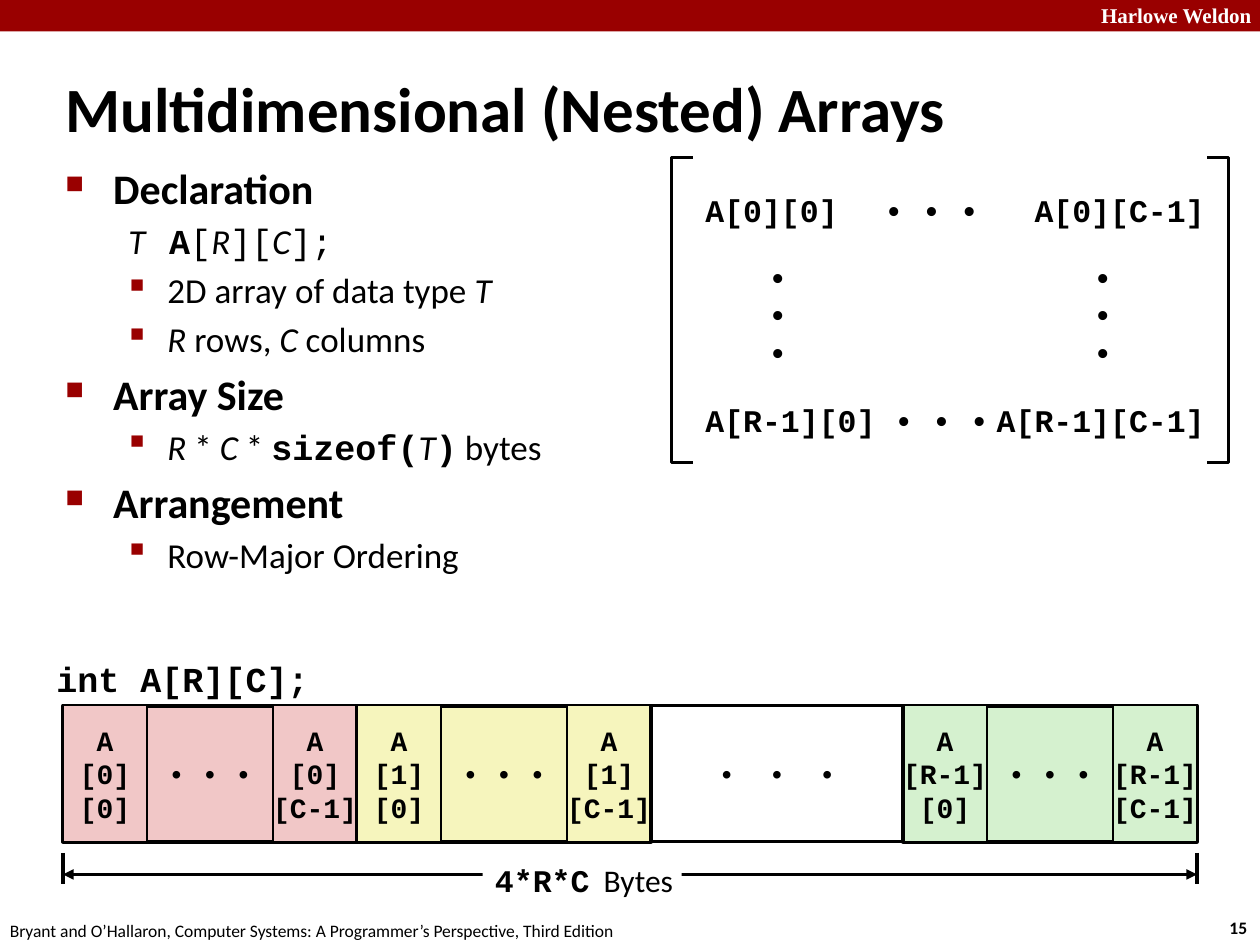
from lxml import etree
from pptx import Presentation
from pptx.dml.color import RGBColor
from pptx.enum.shapes import MSO_CONNECTOR, MSO_SHAPE
from pptx.enum.text import MSO_ANCHOR, MSO_AUTO_SIZE, PP_ALIGN
from pptx.oxml.ns import qn
from pptx.util import Inches, Pt

LEFT, CENTER, RIGHT = PP_ALIGN.LEFT, PP_ALIGN.CENTER, PP_ALIGN.RIGHT
MIDDLE, TOP = MSO_ANCHOR.MIDDLE, MSO_ANCHOR.TOP
RECTANGLE, STRAIGHT = MSO_SHAPE.RECTANGLE, MSO_CONNECTOR.STRAIGHT
FIT_SHAPE, NO_FIT = MSO_AUTO_SIZE.SHAPE_TO_FIT_TEXT, MSO_AUTO_SIZE.NONE

BLACK = RGBColor(0x00, 0x00, 0x00)
WHITE = RGBColor(0xFF, 0xFF, 0xFF)
DARK_RED = RGBColor(0x99, 0x00, 0x00)
PINK = RGBColor(0xF1, 0xC7, 0xC7)
YELLOW = RGBColor(0xF6, 0xF5, 0xBD)
GREEN = RGBColor(0xD5, 0xF1, 0xCF)

SANS, MONO, SERIF = "Calibri", "Courier New", "Times New Roman"
BULLET_FONT = "Wingdings"
DOTS = "• • •"
WIDE_DOTS = "•  •  •"

# A run is (text, font, style); style holds "b" for bold and "i" for italic.
HEADING, ITEM, CODE_ITEM = "heading", "item", "code item"
OUTLINE = [
    (HEADING, [("Declaration", SANS, "b")]),
    (CODE_ITEM, [("T   ", SANS, "i"), ("A", MONO, "b"), ("[", MONO, ""),
                 ("R", SANS, "i"), ("][", MONO, ""), ("C", SANS, "i"), ("];", MONO, "")]),
    (ITEM, [("2D array of data type ", SANS, ""), ("T", SANS, "i")]),
    (ITEM, [("R", SANS, "i"), (" rows, ", SANS, ""), ("C", SANS, "i"), (" columns", SANS, "")]),
    (HEADING, [("Array Size", SANS, "b")]),
    (ITEM, [("R", SANS, "i"), (" * ", SANS, ""), ("C ", SANS, "i"), ("* ", SANS, ""),
            ("sizeof(", MONO, "b"), ("T", SANS, "i"), (")", MONO, "b"), (" bytes", SANS, "")]),
    (HEADING, [("Arrangement", SANS, "b")]),
    (ITEM, [("Row-Major Ordering", SANS, "")]),
]
# kind: (size, left margin, hanging indent, bullet, bullet size in percent)
# In the bullet font, "n" is a large square and "§" a small one.
OUTLINE_STYLES = {
    HEADING: (24, 0.38, 0.38, "n", 60),
    ITEM: (20, 0.81, 0.31, "§", 110),
    CODE_ITEM: (20, 0.81, 0.31, None, None),
}


class SlideBuilder:
    def __init__(self, slide):
        self.slide = slide
        self.shapes = slide.shapes

    def add_runs(self, paragraph, runs, size, color=BLACK):
        for text, font, style in runs:
            run = paragraph.add_run()
            run.text = text
            run.font.name = font
            run.font.size = Pt(size)
            run.font.bold = "b" in style
            run.font.italic = "i" in style
            run.font.color.rgb = color

    def fill_frame(self, shape, lines, size, color=BLACK, align=LEFT, anchor=TOP, wrap=False):
        """Write one paragraph for each list of runs in lines."""
        frame = shape.text_frame
        frame.word_wrap = wrap
        frame.vertical_anchor = anchor
        for index, runs in enumerate(lines):
            paragraph = frame.add_paragraph() if index else frame.paragraphs[0]
            paragraph.alignment = align
            self.add_runs(paragraph, runs, size, color)

    def title(self, text, left, top, width, height):
        title = self.shapes.title
        title.left, title.top = Inches(left), Inches(top)
        title.width, title.height = Inches(width), Inches(height)
        title.text_frame.auto_size = NO_FIT
        self.fill_frame(title, [[(text, SANS, "b")]], 36, anchor=MIDDLE, wrap=True)

    def label(self, run, left, top, width, height, size, color=BLACK, align=LEFT, wrap=False):
        box = self.shapes.add_textbox(Inches(left), Inches(top), Inches(width), Inches(height))
        self.fill_frame(box, [[run]], size, color, align, wrap=wrap)
        box.text_frame.auto_size = FIT_SHAPE

    def rectangle(self, left, top, width, height, fill, lines=(), size=18,
                  align=LEFT, line_width=None):
        shape = self.shapes.add_shape(
            RECTANGLE, Inches(left), Inches(top), Inches(width), Inches(height))
        shape.shadow.inherit = False
        shape.fill.solid()
        shape.fill.fore_color.rgb = fill
        if line_width:
            shape.line.color.rgb = BLACK
            shape.line.width = Pt(line_width)
        else:
            shape.line.fill.background()
        self.fill_frame(shape, lines, size, align=align, anchor=MIDDLE)

    def outline(self, items, left, top, width, height):
        box = self.shapes.add_textbox(Inches(left), Inches(top), Inches(width), Inches(height))
        frame = box.text_frame
        frame.word_wrap = True
        for index, (kind, runs) in enumerate(items):
            size, margin, hanging, bullet, percent = OUTLINE_STYLES[kind]
            paragraph = frame.add_paragraph() if index else frame.paragraphs[0]
            paragraph.space_before = Pt(size * 0.2)
            self.add_runs(paragraph, runs, size)
            properties = paragraph._p.get_or_add_pPr()
            properties.set("marL", str(Inches(margin)))
            properties.set("indent", str(-Inches(hanging)))
            if bullet:
                color = etree.SubElement(properties, qn("a:buClr"))
                etree.SubElement(color, qn("a:srgbClr"), val=str(DARK_RED))
                etree.SubElement(properties, qn("a:buSzPct"), val=str(percent * 1000))
                etree.SubElement(properties, qn("a:buFont"), typeface=BULLET_FONT, charset="2")
                etree.SubElement(properties, qn("a:buChar"), char=bullet)

    def bracket(self, edge, tip, top, bottom):
        """Draw a square bracket whose ends point from edge towards tip."""
        points = [(Inches(x), Inches(y))
                  for x, y in ((tip, top), (edge, top), (edge, bottom), (tip, bottom))]
        builder = self.shapes.build_freeform(*points[0])
        builder.add_line_segments(points[1:], close=False)
        shape = builder.convert_to_shape()
        shape.shadow.inherit = False
        shape.fill.background()
        shape.line.color.rgb = BLACK
        shape.line.width = Pt(2)

    def line(self, x1, y1, x2, y2, arrows=False):
        connector = self.shapes.add_connector(
            STRAIGHT, Inches(x1), Inches(y1), Inches(x2), Inches(y2))
        connector.line.color.rgb = BLACK
        connector.line.width = Pt(2)
        if arrows:
            line = connector.line._get_or_add_ln()
            for end in ("a:headEnd", "a:tailEnd"):
                etree.SubElement(line, qn(end), type="triangle")
        etree.SubElement(connector._element.spPr, qn("a:effectLst"))


def add_matrix(builder):
    width, height, top_row, bottom_row = 1.33, 0.5, 1.42, 3.08
    entries = [
        ("A[0][0]", 5.5, top_row, width, LEFT),
        ("A[0][C-1]", 8.33, top_row, width, RIGHT),
        ("A[R-1][0]", 5.5, bottom_row, width, LEFT),
        (DOTS, 6.92, top_row, 1, LEFT),
        (DOTS, 7, bottom_row, 1, LEFT),
        ("A[R-1][C-1]", 8.33, bottom_row, width, RIGHT),
    ]
    for text, left, top, entry_width, align in entries:
        builder.rectangle(left, top, entry_width, height, WHITE,
                          [[(text, MONO, "b")]], align=align)
    for left in (6, 8.58):
        builder.rectangle(left, 2.08, 0.5, 0.83, WHITE, [[("•", MONO, "b")]] * 3)
    builder.bracket(5.33, 5.5, 1.25, 3.67)
    builder.bracket(9.75, 9.58, 1.25, 3.67)


def add_memory_row(builder, left, right):
    top, height, cell, row_width = 5.6, 1.08, 2 / 3, 7 / 3
    rows = [("0", left, PINK), ("1", left + row_width, YELLOW),
            ("R-1", right - row_width, GREEN)]
    for row, row_left, color in rows:
        builder.rectangle(row_left, top, row_width, height, color,
                          [[(DOTS, MONO, "")]], 16, CENTER, 2.25)
        for column, cell_left in (("0", row_left), ("C-1", row_left + row_width - cell)):
            lines = [[(text, MONO, "b")] for text in ("A", f"[{row}]", f"[{column}]")]
            builder.rectangle(cell_left, top, cell, height, color, lines, 16, CENTER, 1)
    gap_left = left + 2 * row_width
    builder.rectangle(gap_left, top, right - row_width - gap_left, height, WHITE,
                      [[(WIDE_DOTS, MONO, "")]], 16, CENTER, 2)


def add_dimension(builder, left, right):
    for x in (left, right):
        builder.line(x, 6.77, x, 7.02)
    builder.line(left, 6.94, right, 6.94, arrows=True)
    builder.rectangle(3.83, 6.77, 1.58, 0.42, WHITE,
                      [[("4*R*C", MONO, "b"), ("  Bytes", SANS, "")]])


def main():
    presentation = Presentation()
    presentation.slide_width, presentation.slide_height = Inches(10), Inches(7.5)
    builder = SlideBuilder(presentation.slides.add_slide(presentation.slide_layouts[5]))

    builder.rectangle(0, 0, 10, 0.25, DARK_RED)
    builder.label(("Harlowe Weldon", SERIF, "b"), 8.64, -0.03, 1.43, 0.3, 12, WHITE, wrap=True)
    builder.label(("15", SANS, "b"), 9.66, 7.23, 0.37, 0.27, 10)
    builder.label(("Bryant and O’Hallaron, Computer Systems: A Programmer’s Perspective, "
                   "Third Edition", SANS, ""), -0.02, 7.25, 5.08, 0.27, 10)
    builder.title("Multidimensional (Nested) Arrays", 0.42, 0.54, 8.83, 0.63)
    builder.outline(OUTLINE, 0.42, 1.24, 4.85, 3.68)
    add_matrix(builder)
    builder.label(("int A[R][C];", MONO, "b"), 0.3, 5.17, 2.25, 0.43, 20, align=RIGHT)
    add_memory_row(builder, 0.5, 9.5)
    add_dimension(builder, 0.5, 9.5)

    presentation.save("out.pptx")


if __name__ == "__main__":
    main()
